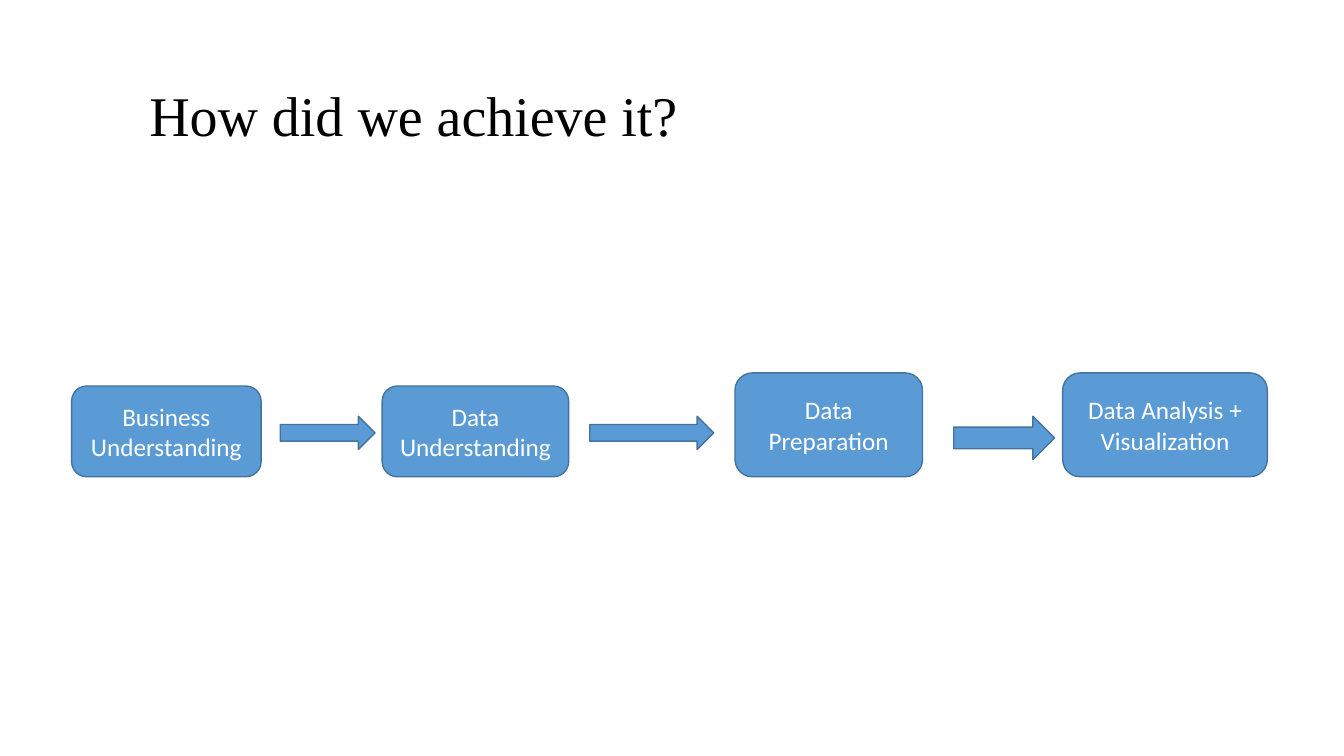
from dataclasses import dataclass
from pptx import Presentation
from pptx import util as u
from pptx.dml import color
from pptx.enum import shapes, text
from pptx.shapes import autoshape
from pptx.slide import Slide


@dataclass(frozen=True)
class Theme:
    fill: color.RGBColor = color.RGBColor(0x5B, 0x9B, 0xD5)
    edge: color.RGBColor = color.RGBColor(0x43, 0x73, 0x9E)
    ink: color.RGBColor = color.RGBColor(0, 0, 0)
    light: color.RGBColor = color.RGBColor(255, 255, 255)
    head: str = "Times New Roman"
    body: str = "Calibri"
    big: int = 40
    small: int = 18


@dataclass(frozen=True)
class Box:
    left: float
    top: float
    width: float
    height: float


@dataclass(frozen=True)
class Step:
    label: str
    box: Box


THEME = Theme()
STEPS = [
    Step("Business Understanding", Box(0.71, 3.83, 1.88, 0.9)),
    Step("Data Understanding", Box(3.79, 3.83, 1.85, 0.9)),
    Step("Data Preparation", Box(7.29, 3.7, 1.86, 1.03)),
    Step("Data Analysis + Visualization", Box(10.54, 3.7, 2.03, 1.03)),
]
ARROWS = [
    Box(2.78, 4.13, 0.94, 0.33),
    Box(5.85, 4.13, 1.23, 0.33),
    Box(9.46, 4.13, 1, 0.43),
]


def place(box: Box) -> list[u.Length]:
    """Return the four lengths of a box."""
    return [u.Inches(n) for n in (box.left, box.top, box.width, box.height)]


def write(frame: text, words: str, face: str, size: int, ink: color.RGBColor) -> None:
    """Put one styled paragraph into a text frame."""
    frame.word_wrap = True
    frame.vertical_anchor = text.MSO_ANCHOR.MIDDLE
    line = frame.paragraphs[0]
    line.text = words
    line.font.name = face
    line.font.size = u.Pt(size)
    line.font.color.rgb = ink


def block(slide: Slide, kind: shapes.MSO_SHAPE, box: Box) -> autoshape.Shape:
    """Draw a filled and outlined preset shape."""
    shape = slide.shapes.add_shape(kind, *place(box))
    shape.shadow.inherit = False
    shape.fill.solid()
    shape.fill.fore_color.rgb = THEME.fill
    shape.line.color.rgb = THEME.edge
    shape.line.width = u.Pt(1)
    return shape


def title(slide: Slide, words: str) -> None:
    """Write the slide heading."""
    frame = slide.shapes.add_textbox(*place(Box(1.24, 0.7, 10.19, 0.94))).text_frame
    write(frame, words, THEME.head, THEME.big, THEME.ink)
    frame.margin_left = u.Inches(0.24)
    frame.paragraphs[0].line_spacing = 0.9


def stage(slide: Slide, step: Step) -> None:
    """Draw one labelled step of the process."""
    shape = block(slide, shapes.MSO_SHAPE.ROUNDED_RECTANGLE, step.box)
    write(shape.text_frame, step.label, THEME.body, THEME.small, THEME.light)
    shape.text_frame.paragraphs[0].alignment = text.PP_ALIGN.CENTER


def main() -> None:
    """Build and save the slide."""
    deck = Presentation()
    deck.slide_width, deck.slide_height = u.Inches(13.33), u.Inches(7.5)
    slide = deck.slides.add_slide(deck.slide_layouts[6])
    title(slide, "How did we achieve it?")
    for step in STEPS:
        stage(slide, step)
    for arrow in ARROWS:
        block(slide, shapes.MSO_SHAPE.RIGHT_ARROW, arrow)
    deck.save("out.pptx")


if __name__ == "__main__":
    main()
